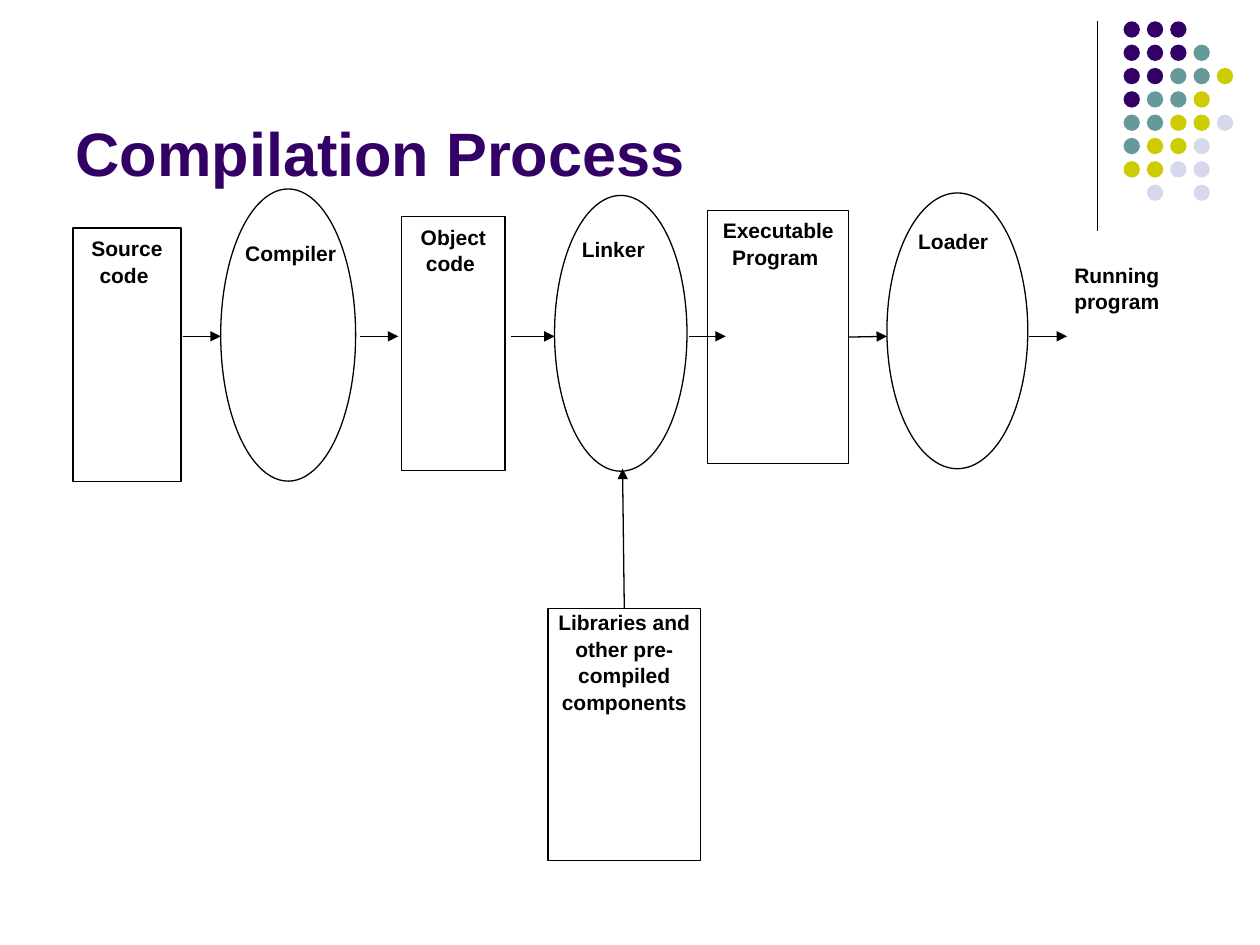
from lxml import etree
from pptx import Presentation
from pptx import util as u
from pptx.dml.color import RGBColor
from pptx.enum import shapes, text
from pptx.oxml.ns import qn

BLACK = RGBColor(0x00, 0x00, 0x00)
WHITE = RGBColor(0xFF, 0xFF, 0xFF)
PURPLE = RGBColor(0x33, 0x00, 0x66)
TEAL = RGBColor(0x66, 0x99, 0x99)
OLIVE = RGBColor(0xCC, 0xCC, 0x00)
LAVENDER = RGBColor(0xD8, 0xD8, 0xEC)

RECTANGLE = shapes.MSO_SHAPE.RECTANGLE
OVAL = shapes.MSO_SHAPE.OVAL
CENTER = text.PP_ALIGN.CENTER
LEFT = text.PP_ALIGN.LEFT

presentation = Presentation()
presentation.slide_width = u.Cm(25.4)
presentation.slide_height = u.Cm(19.05)
slide = presentation.slides.add_slide(presentation.slide_layouts[5])


def add_shape(kind, left, top, width, height, fill=None, outline=None):
    shape = slide.shapes.add_shape(kind, u.Cm(left), u.Cm(top), u.Cm(width), u.Cm(height))
    shape.shadow.inherit = False
    if fill is None:
        shape.fill.background()
    else:
        shape.fill.solid()
        shape.fill.fore_color.rgb = fill
    if outline is None:
        shape.line.fill.background()
    else:
        shape.line.color.rgb = outline
        shape.line.width = u.Pt(0.75)
    return shape


def add_line(x1, y1, x2, y2, arrow=True):
    connector = slide.shapes.add_connector(
        shapes.MSO_CONNECTOR.STRAIGHT, u.Cm(x1), u.Cm(y1), u.Cm(x2), u.Cm(y2))
    connector.line.color.rgb = BLACK
    connector.line.width = u.Pt(0.75)
    properties = connector._element.spPr
    if arrow:
        etree.SubElement(properties.find(qn("a:ln")), qn("a:tailEnd"), type="triangle")
    etree.SubElement(properties, qn("a:effectLst"))
    return connector


add_line(22.12, 0.43, 22.12, 4.65, arrow=False)

dot_colors = {"P": PURPLE, "T": TEAL, "O": OLIVE, "L": LAVENDER}
dot_rows = ["PPP", "PPPT", "PPTTO", "PTTO", "TTOOL", "TOOL", "OOLL", " L L"]
dot_pitch = 0.47
for row, dots in enumerate(dot_rows):
    for column, dot in enumerate(dots):
        if dot in dot_colors:
            add_shape(OVAL, 22.65 + column * dot_pitch, 0.43 + row * dot_pitch,
                      0.33, 0.33, fill=dot_colors[dot])

title = slide.shapes.title
title.left, title.top = u.Cm(1.27), u.Cm(0.33)
title.width, title.height = u.Cm(20.96), u.Cm(3.61)
title.text_frame.text = "Compilation Process"
title.text_frame.auto_size = text.MSO_AUTO_SIZE.NONE
title.text_frame.vertical_anchor = text.MSO_ANCHOR.BOTTOM
title.text_frame.paragraphs[0].alignment = LEFT
title_font = title.text_frame.paragraphs[0].runs[0].font
title_font.name, title_font.size, title_font.bold = "Arial", u.Pt(35), True
title_font.color.rgb = PURPLE

boxes = [
    ("Source code ", 1.47, 4.6, 2.18, 5.11, BLACK, 0, 0.13, CENTER),
    ("Compiler", 4.45, 4.7, 2.82, 4.95, None, 0.25, 0.13, CENTER),
    ("Object code ", 8.1, 4.37, 2.08, 5.11, BLACK, 0, 0.13, CENTER),
    ("Linker", 11.48, 4.62, 2.24, 5.13, None, 0.25, 0.13, LEFT),
    ("Executable\nProgram ", 14.27, 4.24, 2.84, 5.11, BLACK, 0, 0.13, CENTER),
    ("Loader ", 18.08, 4.45, 2.39, 5.11, None, 0.25, 0.13, CENTER),
    ("Running program", 21.13, 4.78, 2.77, 4.22, None, 0.25, 0.48, CENTER),
    ("Libraries and\nother pre-compiled components", 11.05, 12.27, 3.07, 5.08,
     BLACK, 0, 0, CENTER),
]
box_shapes = {}
for label, left, top, width, height, outline, side_inset, top_inset, alignment in boxes:
    shape = add_shape(RECTANGLE, left, top, width, height, WHITE, outline)
    box_shapes[label.split()[0]] = shape
    frame = shape.text_frame
    frame.word_wrap = True
    frame.vertical_anchor = text.MSO_ANCHOR.TOP
    frame.margin_left = frame.margin_right = u.Cm(side_inset)
    frame.margin_top = u.Cm(top_inset)
    frame.margin_bottom = 0
    frame.text = label
    for paragraph in frame.paragraphs:
        paragraph.alignment = alignment
        paragraph.line_spacing = 1.05
        for run in paragraph.runs:
            run.font.name, run.font.size, run.font.bold = "Arial", u.Pt(12), True
            run.font.color.rgb = BLACK

for left, top, width, height in [
    (4.45, 3.81, 2.72, 5.89),
    (11.18, 3.94, 2.67, 5.56),
    (17.88, 3.89, 2.84, 5.56),
]:
    add_shape(OVAL, left, top, width, height, outline=BLACK)

flow_y = 6.78
for start, end in [(3.68, 4.45), (7.26, 8.03), (10.31, 11.18), (13.89, 14.63), (20.75, 21.51)]:
    add_line(start, flow_y, end, flow_y)

loader_arrow = add_line(17.12, flow_y, 17.88, flow_y)
loader_arrow.begin_connect(box_shapes["Executable"], 3)
library_arrow = add_line(12.55, 12.27, 12.55, 9.45)
library_arrow.begin_connect(box_shapes["Libraries"], 0)

presentation.save("out.pptx")
